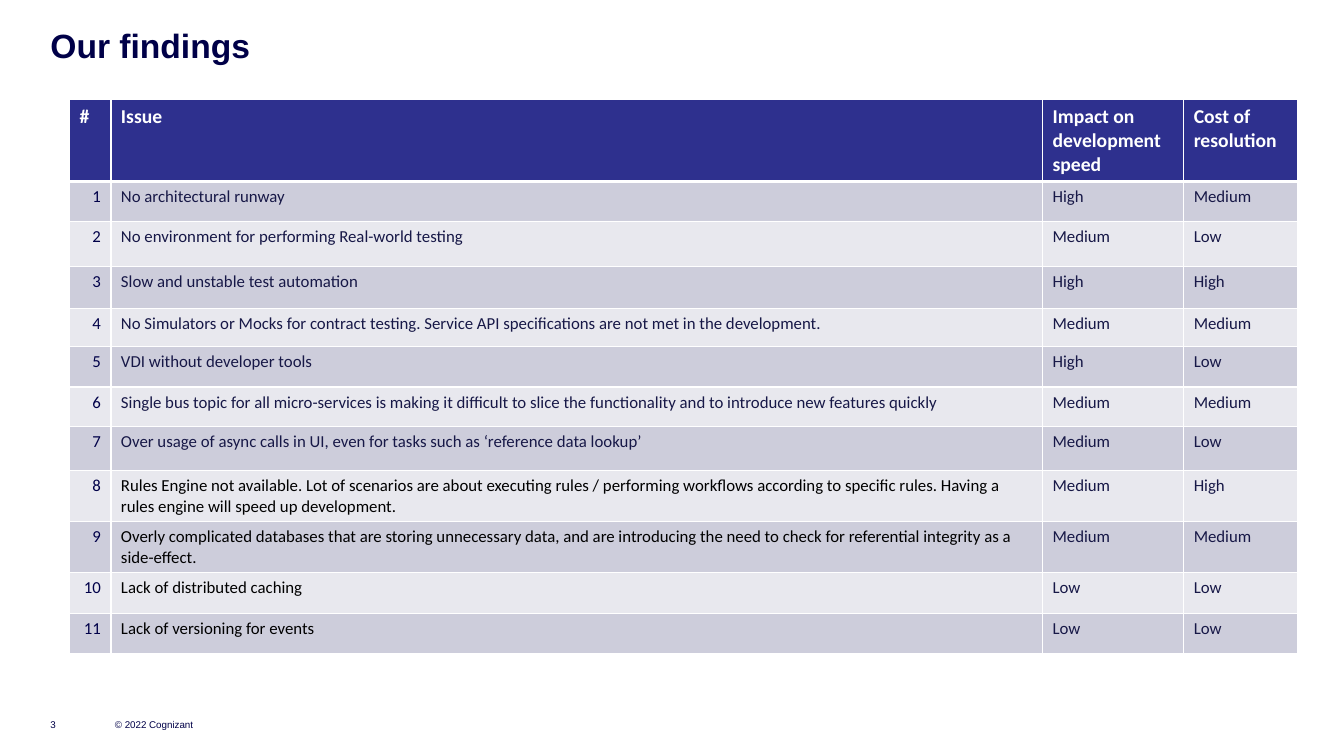
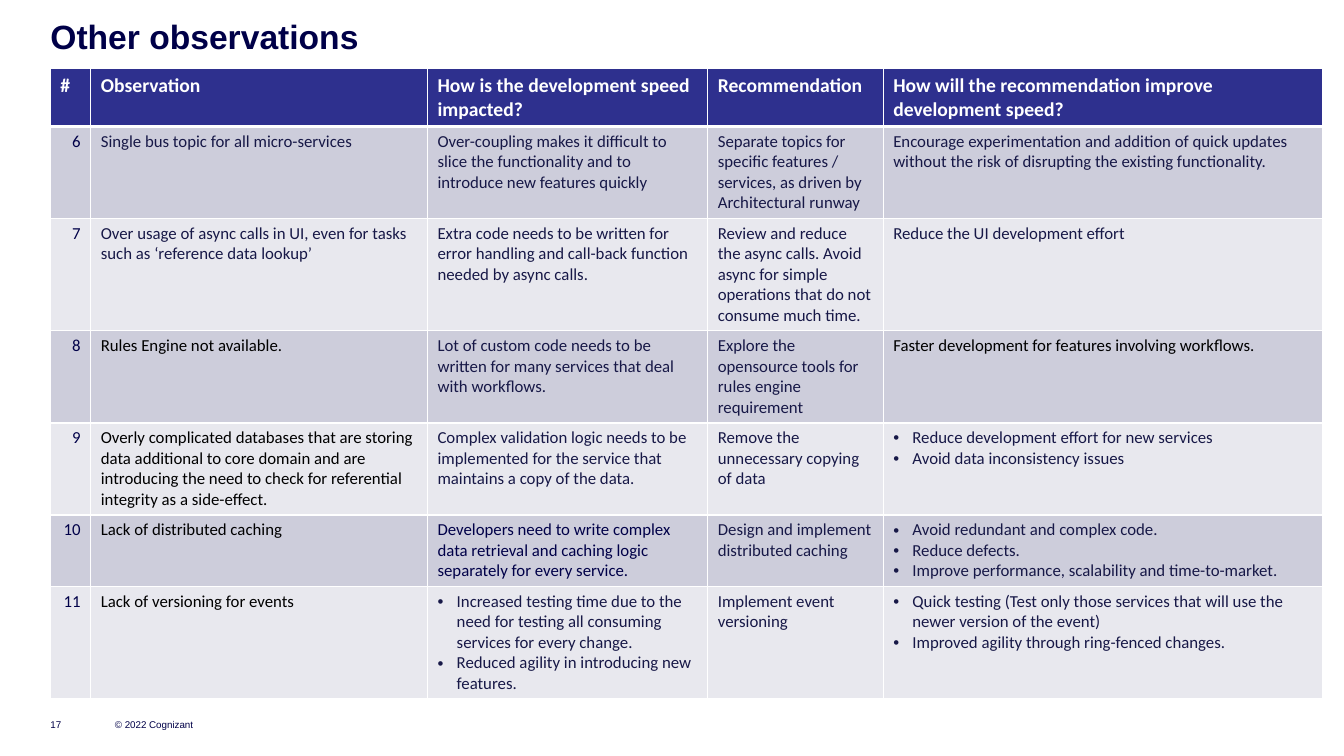
"""Build two slides of findings and observations as banded tables."""
from pptx import Presentation, util as u
from pptx.dml.color import RGBColor
from pptx.enum import text
from pptx.oxml.ns import qn
from lxml import etree

COLORS = {"navy": "000048", "ink": "171847", "black": "000000", "white": "FFFFFF",
          "header": "2E308E", "dark band": "CDCDDB", "light band": "E8E8EE"}
MARGIN = 0.5
FIRST_BLACK_ISSUE = 8
BULLET_INDENT = u.Inches(0.19)

SLIDES = [
    {
        "title": "Our findings", "number": 3,
        "title box": (MARGIN, 0.25, 12.36, 0.4),
        "table at": (0.69, 0.99),
        "columns": [0.41, 9.24, 1.4, 1.13],
        "rows": [0.38, 0.4, 0.44, 0.42, 0.38, 0.4, 0.39, 0.44, 0.41, 0.4, 0.4, 0.4],
        "header": ["#", "Issue", "Impact on development speed", "Cost of resolution"],
        "first issue": 1,
        "cells": [
            ("No architectural runway", "High", "Medium"),
            ("No environment for performing Real-world testing", "Medium", "Low"),
            ("Slow and unstable test automation", "High", "High"),
            ("No Simulators or Mocks for contract testing. Service API specifications are "
             "not met in the development.", "Medium", "Medium"),
            ("VDI without developer tools", "High", "Low"),
            ("Single bus topic for all micro-services is making it difficult to slice the "
             "functionality and to introduce new features quickly", "Medium", "Medium"),
            ("Over usage of async calls in UI, even for tasks such as ‘reference data lookup’",
             "Medium", "Low"),
            ("Rules Engine not available. Lot of scenarios are about executing rules / "
             "performing workflows according to specific rules. Having a rules engine will "
             "speed up development.", "Medium", "High"),
            ("Overly complicated databases that are storing unnecessary data, and are "
             "introducing the need to check for referential integrity as a side-effect.",
             "Medium", "Medium"),
            ("Lack of distributed caching", "Low", "Low"),
            ("Lack of versioning for events", "Low", "Low"),
        ],
        "accents": {},
    },
    {
        "title": "Other observations", "number": 17,
        "title box": (MARGIN, 0.16, 11.82, 0.34),
        "table at": (MARGIN, 0.68),
        "columns": [0.4, 3.34, 2.78, 1.74, 4.36],
        "rows": [0.38, 0.39, 0.44, 0.41, 0.4, 0.4, 0.4],
        "header": ["#", "Observation", "How is the development speed impacted?",
                   "Recommendation",
                   "How will the recommendation improve development speed?"],
        "first issue": 6,
        "cells": [
            ("Single bus topic for all micro-services",
             "Over-coupling makes it difficult to slice the functionality and to introduce "
             "new features quickly",
             "Separate topics for specific features / services, as driven by Architectural "
             "runway",
             "Encourage experimentation and addition of quick updates without the risk of "
             "disrupting the existing functionality."),
            ("Over usage of async calls in UI, even for tasks such as ‘reference data lookup’",
             "Extra code needs to be written for error handling and call-back function "
             "needed by async calls.",
             "Review and reduce the async calls. Avoid async for simple operations that do "
             "not consume much time.",
             "Reduce the UI development effort"),
            ("Rules Engine not available.",
             "Lot of custom code needs to be written for many services that deal with "
             "workflows.",
             "Explore the opensource tools for rules engine requirement",
             "Faster development for features involving workflows."),
            ("Overly complicated databases that are storing data additional to core domain "
             "and are introducing the need to check for referential integrity as a "
             "side-effect.",
             "Complex validation logic needs to be implemented for the service that "
             "maintains a copy of the data.",
             "Remove the unnecessary copying of data",
             ["Reduce development effort for new services",
              "Avoid data inconsistency issues"]),
            ("Lack of distributed caching",
             "Developers need to write complex data retrieval and caching logic separately "
             "for every service.",
             "Design and implement distributed caching",
             ["Avoid redundant and complex code.", "Reduce defects.",
              "Improve performance, scalability and time-to-market."]),
            ("Lack of versioning for events",
             ["Increased testing time due to the need for testing all consuming services "
              "for every change.",
              "Reduced agility in introducing new features."],
             "Implement event versioning",
             ["Quick testing (Test only those services that will use the newer version of "
              "the event)",
              "Improved agility through ring-fenced changes."]),
        ],
        "accents": {(8, 4): "black", (10, 2): "navy"},
    },
]


def rgb(name):
    return RGBColor.from_string(COLORS[name])


def write(paragraph, words, size, color, font="Calibri", bold=False):
    run = paragraph.add_run()
    run.text = words
    run.font.name, run.font.size, run.font.bold = font, u.Pt(size), bold
    run.font.color.rgb = rgb(color)


def set_frame(frame, anchor):
    frame.margin_left = frame.margin_right = frame.margin_top = frame.margin_bottom = 0
    frame.word_wrap = True
    frame.auto_size = text.MSO_AUTO_SIZE.NONE
    frame.vertical_anchor = anchor


def add_title(slide, words, box):
    title = slide.shapes.title
    title.left, title.top, title.width, title.height = map(u.Inches, box)
    set_frame(title.text_frame, text.MSO_ANCHOR.TOP)
    paragraph = title.text_frame.paragraphs[0]
    paragraph.alignment = text.PP_ALIGN.LEFT
    write(paragraph, words, 24, "navy", "Arial", True)


def add_footer(slide, number):
    for words, left, width in (("© 2022 Cognizant", 1.14, 1.31), (str(number), MARGIN, 0.39)):
        box = slide.shapes.add_textbox(*map(u.Inches, (left, 6.85, width, 0.4)))
        set_frame(box.text_frame, text.MSO_ANCHOR.BOTTOM)
        write(box.text_frame.paragraphs[0], words, 7, "navy", "Arial")


def add_bullet(paragraph):
    properties = paragraph._p.get_or_add_pPr()
    properties.set("marL", str(BULLET_INDENT))
    properties.set("indent", str(-BULLET_INDENT))
    etree.SubElement(properties, qn("a:buFont"), typeface="Arial")
    etree.SubElement(properties, qn("a:buChar"), char="•")


def paint_cell(cell, row):
    properties = cell._tc.get_or_add_tcPr()
    thick_side = {0: "B", 1: "T"}.get(row)
    for side in "LRTB":
        width = u.Pt(3 if side == thick_side else 1)
        line = etree.SubElement(properties, qn(f"a:ln{side}"), w=str(width))
        fill = etree.SubElement(line, qn("a:solidFill"))
        etree.SubElement(fill, qn("a:srgbClr"), val=COLORS["white"])
    cell.fill.solid()
    band = "dark band" if row % 2 else "light band"
    cell.fill.fore_color.rgb = rgb(band if row else "header")


def text_color(issue, column, accents):
    if column == 0:
        return "navy"
    if column == 1 and issue >= FIRST_BLACK_ISSUE:
        return "black"
    return accents.get((issue, column), "ink")


def fill_cell(cell, content, size, color, bold):
    bulleted = isinstance(content, list)
    for index, words in enumerate(content if bulleted else [content]):
        frame = cell.text_frame
        paragraph = frame.add_paragraph() if index else frame.paragraphs[0]
        if bulleted:
            add_bullet(paragraph)
        write(paragraph, words, size, color, bold=bold)


def add_findings(slide, page):
    columns, heights = page["columns"], page["rows"]
    box = (*page["table at"], sum(columns), sum(heights))
    table = slide.shapes.add_table(len(heights), len(columns), *map(u.Inches, box)).table
    for column, width in zip(table.columns, columns):
        column.width = u.Inches(width)
    for row, height in zip(table.rows, heights):
        row.height = u.Inches(height)
    issues = enumerate(page["cells"], page["first issue"])
    grid = [page["header"]] + [(str(issue), *cells) for issue, cells in issues]
    for row, contents in enumerate(grid):
        issue = page["first issue"] + row - 1
        for column, content in enumerate(contents):
            cell = table.cell(row, column)
            paint_cell(cell, row)
            if row == 0:
                fill_cell(cell, content, 14, "white", True)
                continue
            fill_cell(cell, content, 12, text_color(issue, column, page["accents"]), False)
            if column == 0:
                cell.text_frame.paragraphs[0].alignment = text.PP_ALIGN.RIGHT


def main():
    presentation = Presentation()
    presentation.slide_width, presentation.slide_height = u.Inches(13.33), u.Inches(7.5)
    for page in SLIDES:
        slide = presentation.slides.add_slide(presentation.slide_layouts[5])
        add_footer(slide, page["number"])
        add_title(slide, page["title"], page["title box"])
        add_findings(slide, page)
    presentation.save("out.pptx")


if __name__ == "__main__":
    main()
